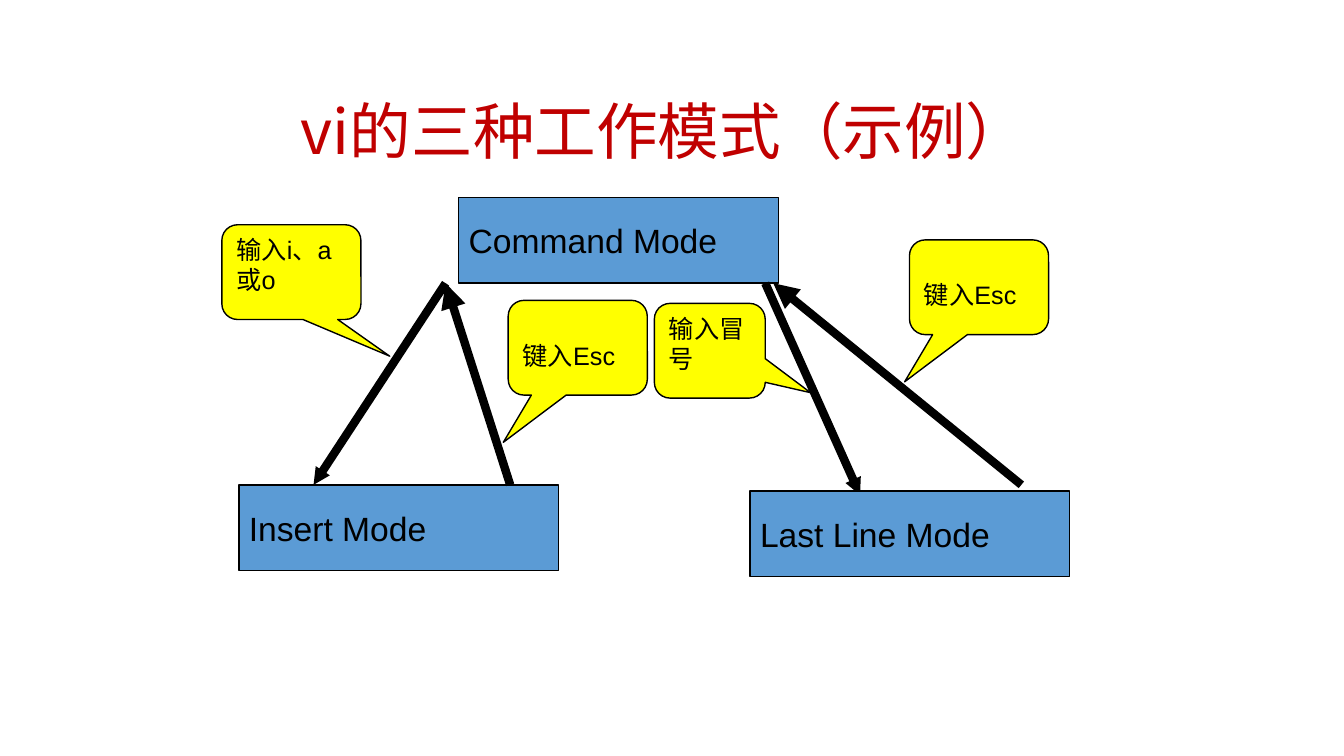
from lxml import etree
from pptx import Presentation
from pptx.dml.color import RGBColor
from pptx.enum.shapes import MSO_CONNECTOR, MSO_SHAPE
from pptx.enum.text import MSO_ANCHOR, PP_ALIGN
from pptx.oxml.ns import qn
from pptx.util import Inches, Pt

RECT = MSO_SHAPE.RECTANGLE
CALLOUT = MSO_SHAPE.ROUNDED_RECTANGULAR_CALLOUT
STRAIGHT = MSO_CONNECTOR.STRAIGHT
TOP, MIDDLE = MSO_ANCHOR.TOP, MSO_ANCHOR.MIDDLE
LEFT, CENTER = PP_ALIGN.LEFT, PP_ALIGN.CENTER

COLORS = {"title": "C00000", "mode": "5B9BD5", "callout": "FFFF00", "ink": "000000"}
LATIN, CJK = "Arial", "Noto Sans CJK SC"
MODE_SIZE = (3.17, 0.85)
CALLOUT_HEIGHT = 0.94
ESC_TAIL = (-0.535, 0.998)


def rgb(name):
    return RGBColor.from_string(COLORS[name])


class ModeSlide:
    def __init__(self, slide):
        self.shapes = slide.shapes

    def add_text(self, sp, text, size, font=LATIN, color="ink", align=LEFT, **frame):
        tf = sp.text_frame
        for name, value in frame.items():
            setattr(tf, name, value)
        p = tf.paragraphs[0]
        p.alignment = align
        r = p.add_run()
        r.text = text
        for name, value in {"size": Pt(size), "name": font}.items():
            setattr(r.font, name, value)
        r.font.color.rgb = rgb(color)
        etree.SubElement(r._r.get_or_add_rPr(), qn("a:ea"), typeface=CJK)
        return p

    def title(self, text, x, y, w, h):
        sp = self.shapes.add_textbox(Inches(x), Inches(y), Inches(w), Inches(h))
        p = self.add_text(sp, text, 44, CJK, "title", CENTER,
                          word_wrap=True, vertical_anchor=MIDDLE)
        p.line_spacing = 0.9

    def box(self, kind, fill, x, y, w, h):
        sp = self.shapes.add_shape(kind, Inches(x), Inches(y), Inches(w), Inches(h))
        sp.shadow.inherit = False
        sp.fill.solid()
        sp.fill.fore_color.rgb = rgb(fill)
        sp.line.color.rgb = rgb("ink")
        sp.line.width = Pt(1)
        return sp

    def mode(self, text, x, y):
        sp = self.box(RECT, "mode", x, y, *MODE_SIZE)
        self.add_text(sp, text, 24, word_wrap=False, vertical_anchor=MIDDLE)

    def callout(self, text, x, y, tail, w=1.38, top=0.05):
        """Add a speech bubble; tail is its tip, as shares of the size from the centre."""
        sp = self.box(CALLOUT, "callout", x, y, w, CALLOUT_HEIGHT)
        for i, value in enumerate(tail):
            sp.adjustments[i] = value
        self.add_text(sp, text, 18, word_wrap=True, vertical_anchor=TOP,
                      margin_top=Inches(top))

    def esc_callout(self, x, y):
        self.callout("键入Esc", x, y, ESC_TAIL, top=0.35)

    def arrow(self, x1, y1, x2, y2, head="med"):
        s = self.shapes.add_connector(STRAIGHT, Inches(x1), Inches(y1),
                                      Inches(x2), Inches(y2))
        s.line.color.rgb = rgb("ink")
        s.line.width = Pt(6)
        spPr = s._element.spPr
        etree.SubElement(spPr.find(qn("a:ln")), qn("a:tailEnd"),
                         type="triangle", w=head, len=head)
        etree.SubElement(spPr, qn("a:effectLst"))


def main():
    prs = Presentation()
    prs.slide_width, prs.slide_height = Inches(13.33), Inches(7.5)
    s = ModeSlide(prs.slides.add_slide(prs.slide_layouts[6]))

    s.title("vi的三种工作模式（示例）", 1.92, 0.92, 9.34, 0.83)
    s.callout("输入i、a或o", 2.2, 2.23, (0.707, 0.887))
    s.mode("Command Mode", 4.55, 1.96)

    s.arrow(4.42, 2.81, 3.11, 4.81, head="sm")
    s.mode("Insert Mode", 2.37, 4.81)
    s.arrow(5.06, 4.81, 4.42, 2.81)
    s.esc_callout(5.04, 2.98)

    s.callout("输入冒号", 6.49, 3.01, (0.909, 0.443), w=1.1)
    s.arrow(7.59, 2.81, 8.53, 4.91, head="sm")
    s.arrow(10.13, 4.81, 7.67, 2.81)
    s.esc_callout(9.02, 2.38)
    s.mode("Last Line Mode", 7.44, 4.87)

    prs.save("out.pptx")


if __name__ == "__main__":
    main()
